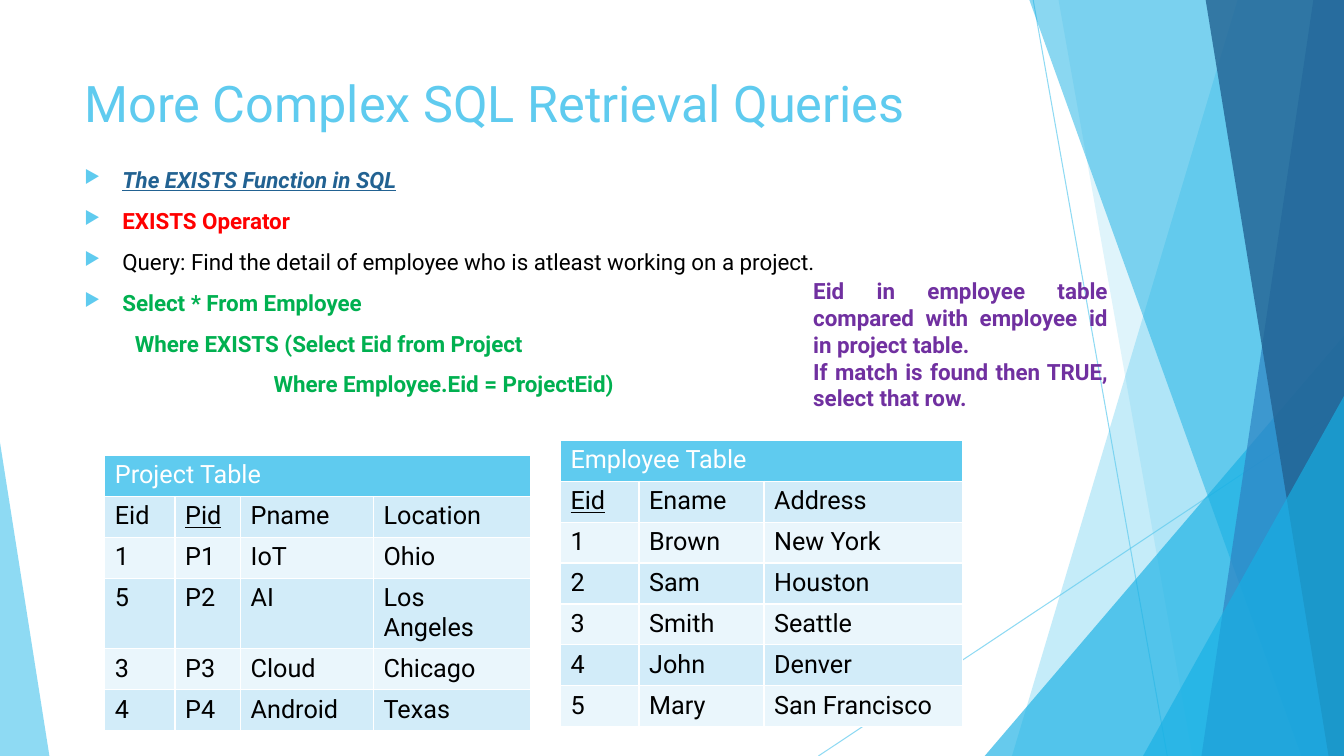
import pptx
import pptx.dml.color
import pptx.enum.shapes
import pptx.enum.text
import pptx.oxml.ns
import pptx.util
from lxml import etree

Pt = pptx.util.Pt
RGB = pptx.dml.color.RGBColor.from_string
qn = pptx.oxml.ns.qn
WIDTH, HEIGHT = 960, 540
FONT = "Roboto"
COLORS = {
    "sky": "5FCBEF", "cyan": "17B0E4", "blue": "2E83C3", "navy": "226292",
    "red": "FF0000", "green": "00B050", "purple": "7030A0",
    "black": "000000", "white": "FFFFFF", "band_dark": "D2ECF9", "band_light": "EAF6FC",
}


def set_opacity(shape, percent):
    """Set the opacity of the only colour in a shape's fill or line."""
    color = shape._element.spPr.find(".//" + qn("a:srgbClr"))
    etree.SubElement(color, qn("a:alpha")).set("val", str(percent * 1000))


def add_run(paragraph, text, size, color, bold=False, italic=False, underline=False):
    run = paragraph.add_run()
    run.text = text
    run.font.name = FONT
    run.font.size = Pt(size)
    run.font.color.rgb = RGB(COLORS[color])
    run.font.bold, run.font.italic, run.font.underline = bold, italic, underline


deck = pptx.Presentation()
deck.slide_width, deck.slide_height = Pt(WIDTH), Pt(HEIGHT)
slide = deck.slides.add_slide(deck.slide_layouts[6])
shapes = slide.shapes

# Background rays
for x1, y1, x2, y2 in [(738, 0, 833.8, HEIGHT), (WIDTH, 290.2, 584.6, HEIGHT)]:
    ray = shapes.add_connector(
        pptx.enum.shapes.MSO_CONNECTOR.STRAIGHT, Pt(x1), Pt(y1), Pt(x2), Pt(y2))
    ray.line.width = Pt(0.75)
    ray.line.color.rgb = RGB(COLORS["sky"])
    set_opacity(ray, 70)
    etree.SubElement(ray._element.spPr, qn("a:effectLst"))

# Background facets: a panel has a top and bottom x and reaches the right edge;
# a triangle has left, top, width, height and apex position
facets = [
    ("panel", (884.2, 722.9), "sky", 36),
    ("panel", (756, 851.8), "sky", 20),
    ("triangle", (703.4, 239.8, 256.6, 300.2, 1), "cyan", 66),
    ("panel", (735.1, 929.5), "cyan", 50),
    ("panel", (938.2, 858.2), "blue", 70),
    ("panel", (861.1, 949), "navy", 80),
    ("triangle", (816.5, 283, 143.5, 257, 1), "cyan", 66),
    ("triangle", (0, 316.1, 35.3, 223.9, 0), "sky", 70),
]
for kind, geometry, color, opacity in facets:
    if kind == "panel":
        top_x, bottom_x = geometry
        outline = shapes.build_freeform(Pt(top_x), Pt(-0.6))
        outline.add_line_segments(
            [(Pt(x), Pt(y)) for x, y in
             [(WIDTH, -0.6), (WIDTH, HEIGHT), (bottom_x, HEIGHT)]], close=True)
        facet = outline.convert_to_shape()
    else:
        *box, apex = geometry
        facet = shapes.add_shape(
            pptx.enum.shapes.MSO_SHAPE.ISOSCELES_TRIANGLE, *map(Pt, box))
        facet.adjustments[0] = apex
    facet.shadow.inherit = False
    facet.line.fill.background()
    facet.fill.solid()
    facet.fill.fore_color.rgb = RGB(COLORS[color])
    set_opacity(facet, opacity)

title = shapes.add_textbox(Pt(53.3), Pt(48.2), Pt(676.8), Pt(103.7)).text_frame
title.word_wrap = True
add_run(title.paragraphs[0], "More Complex SQL Retrieval Queries", 36, "sky")

# Query explanation: text, colour, bold, italic and underlined, left margin, bullet
query_lines = [
    ("The EXISTS Function in SQL", "navy", True, True, 27, True),
    ("EXISTS Operator", "red", True, False, 27, True),
    ("Query: Find the detail of employee who is atleast working on a project.",
     "black", False, False, 27, True),
    ("Select * From Employee", "green", True, False, 27, True),
    ("Where EXISTS (Select Eid from Project", "green", True, False, 36, False),
    ("Where Employee.Eid = ProjectEid)", "green", True, False, 135, False),
]
explanation = shapes.add_textbox(Pt(53.3), Pt(115.2), Pt(710.6), Pt(367.2)).text_frame
explanation.word_wrap = True
for i, (text, color, bold, accent, margin, bullet) in enumerate(query_lines):
    paragraph = explanation.add_paragraph() if i else explanation.paragraphs[0]
    paragraph.space_before = Pt(10 if i else 0)
    props = paragraph._p.get_or_add_pPr()
    props.set("marL", str(Pt(margin)))
    if bullet:
        props.set("indent", str(Pt(-27)))
        bullet_color = etree.SubElement(props, qn("a:buClr"))
        etree.SubElement(bullet_color, qn("a:srgbClr")).set("val", COLORS["sky"])
        etree.SubElement(props, qn("a:buSzPct")).set("val", "80000")
        etree.SubElement(props, qn("a:buChar")).set("char", "▶")
    add_run(paragraph, text, 16, color, bold, accent, accent)

# Tables: title, key column, position, column widths, rows
tables = [
    ("Employee Table", "Eid", (400.3, 314.6), (56.2, 89.3, 141.8), [
        ("Eid", "Ename", "Address"),
        ("1", "Brown", "New York"),
        ("2", "Sam", "Houston"),
        ("3", "Smith", "Seattle"),
        ("4", "John", "Denver"),
        ("5", "Mary", "San Francisco"),
    ]),
    ("Project Table", "Pid", (74.9, 325.4), (50.2, 46.8, 95, 112.3), [
        ("Eid", "Pid", "Pname", "Location"),
        ("1", "P1", "IoT", "Ohio"),
        ("5", "P2", "AI", "Los Angeles"),
        ("3", "P3", "Cloud", "Chicago"),
        ("4", "P4", "Android", "Texas"),
    ]),
]
ROW_HEIGHT = 29.2
for heading, key, (left, top), widths, records in tables:
    row_count = len(records) + 1
    table = shapes.add_table(
        row_count, len(widths), Pt(left), Pt(top),
        Pt(sum(widths)), Pt(ROW_HEIGHT * row_count)).table
    for column, width in zip(table.columns, widths):
        column.width = Pt(width)
    for row in table.rows:
        row.height = Pt(ROW_HEIGHT)
    header = table.cell(0, 0)
    header.merge(table.cell(0, len(widths) - 1))
    header.fill.solid()
    header.fill.fore_color.rgb = RGB(COLORS["sky"])
    add_run(header.text_frame.paragraphs[0], heading, 18, "white")
    for r, record in enumerate(records, start=1):
        for c, value in enumerate(record):
            cell = table.cell(r, c)
            cell.fill.solid()
            cell.fill.fore_color.rgb = RGB(COLORS["band_dark" if r % 2 else "band_light"])
            add_run(cell.text_frame.paragraphs[0], value, 18, "black", underline=value == key)

note = shapes.add_textbox(Pt(573.8), Pt(194.4), Pt(224.6), Pt(104.4)).text_frame
note.word_wrap = True
for i, text in enumerate([
        "Eid in employee table compared with employee id in project table.",
        "If match is found then TRUE, select that row."]):
    paragraph = note.add_paragraph() if i else note.paragraphs[0]
    paragraph.alignment = pptx.enum.text.PP_ALIGN.JUSTIFY
    add_run(paragraph, text, 16, "purple", bold=True)

deck.save("out.pptx")
